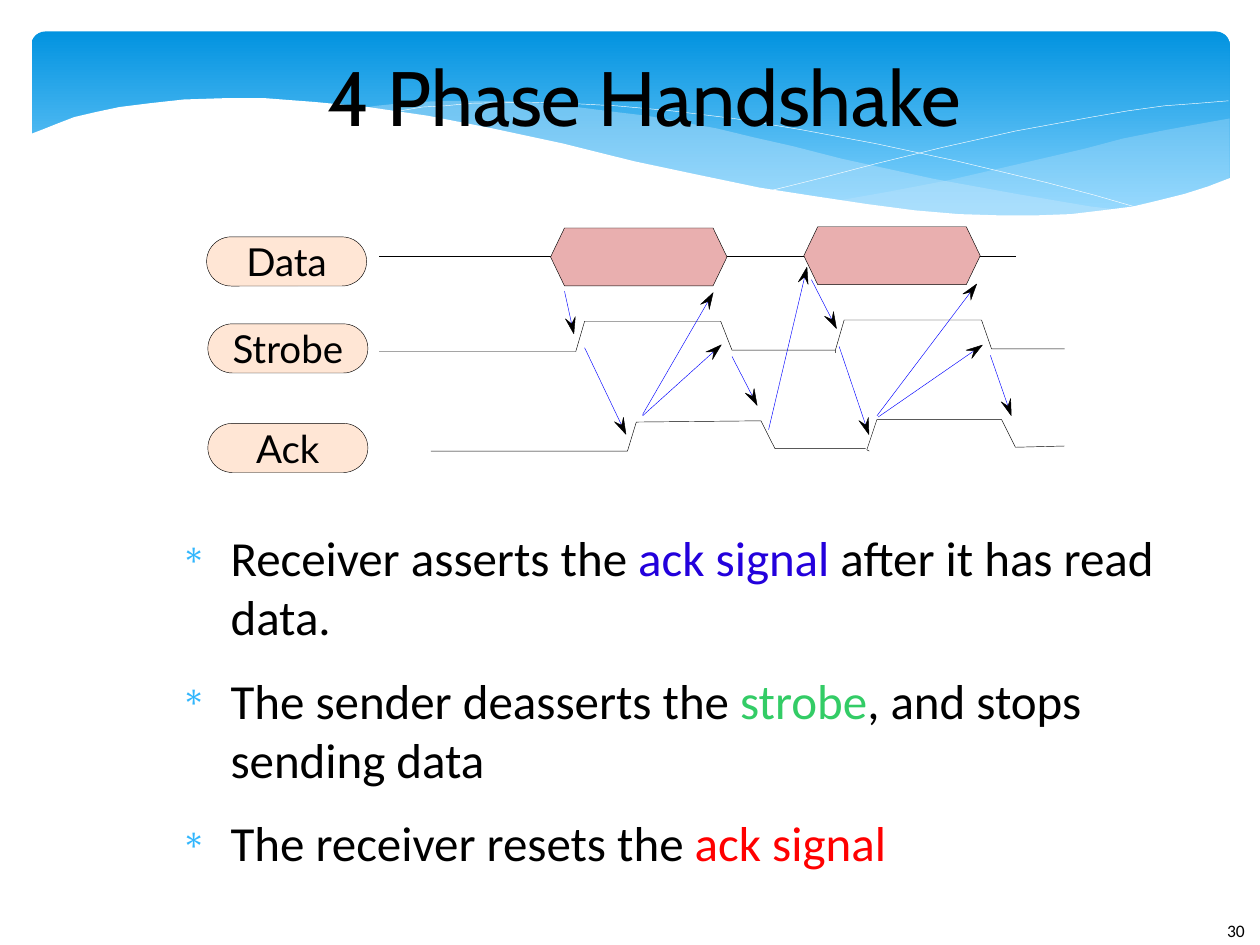
import math

from lxml import etree
from pptx import Presentation
from pptx.dml.color import RGBColor
from pptx.enum.shapes import MSO_CONNECTOR, MSO_SHAPE
from pptx.enum.text import MSO_ANCHOR, MSO_AUTO_SIZE, PP_ALIGN
from pptx.oxml.ns import qn
from pptx.util import Inches, Pt

STRAIGHT = MSO_CONNECTOR.STRAIGHT
ROUNDED, HEXAGON = MSO_SHAPE.ROUNDED_RECTANGLE, MSO_SHAPE.HEXAGON
MIDDLE, CENTER = MSO_ANCHOR.MIDDLE, PP_ALIGN.CENTER
NO_AUTOSIZE = MSO_AUTO_SIZE.NONE
HAIRLINE = Pt(0.25)

BLACK = RGBColor(0x00, 0x00, 0x00)
WHITE = RGBColor(0xFF, 0xFF, 0xFF)
BANNER_TOP = RGBColor(0x02, 0x93, 0xE0)
BANNER_BOTTOM = RGBColor(0x83, 0xD3, 0xFE)
SWOOSH = RGBColor(0xC6, 0xE7, 0xFC)
BULLET_BLUE = RGBColor(0x31, 0xB6, 0xFD)
DATA_FILL = RGBColor(0xE9, 0xAF, 0xAF)
LABEL_FILL = RGBColor(0xFF, 0xE6, 0xD5)
ARROW_BLUE = RGBColor(0x00, 0x00, 0xFF)
ACK_BLUE = RGBColor(0x23, 0x00, 0xDC)
STROBE_GREEN = RGBColor(0x33, 0xCC, 0x66)
ACK_RED = RGBColor(0xFF, 0x00, 0x00)

presentation = Presentation()
presentation.slide_width, presentation.slide_height = Inches(10), Inches(7.5)
slide = presentation.slides.add_slide(presentation.slide_layouts[5])
shapes = slide.shapes


def style(shape, fill=None, line=None):
    """Give a shape a flat fill and a hairline; None leaves either out."""
    shape.shadow.inherit = False
    if fill is None:
        shape.fill.background()
    else:
        shape.fill.solid()
        shape.fill.fore_color.rgb = fill
    if line is None:
        shape.line.fill.background()
    else:
        shape.line.color.rgb = line
        shape.line.width = HAIRLINE
    return shape


def add_outline(points, close, fill=None, line=None):
    """Draw a freeform through points given in inches."""
    corners = [(Inches(x), Inches(y)) for x, y in points]
    builder = shapes.build_freeform(*corners[0], scale=1.0)
    builder.add_line_segments(corners[1:], close=close)
    return style(builder.convert_to_shape(), fill, line)


# Banner with its swooshes
banner = shapes.add_shape(ROUNDED, Inches(0.25), Inches(0.25), Inches(9.51), Inches(1.56))
banner.adjustments[0] = 0.07
style(banner)
banner.fill.gradient()
banner.fill.gradient_angle = 270
for stop, position, color in zip(banner.fill.gradient_stops, (0, 0.9), (BANNER_TOP, BANNER_BOTTOM)):
    stop.position = position
    stop.color.rgb = color

right_swoosh = [
    (9.76, 0.94), (9.48, 0.99), (9.21, 1.04), (8.91, 1.1), (8.61, 1.18), (8.05, 1.31),
    (7.53, 1.43), (7.06, 1.52), (6.61, 1.6), (6.91, 1.64), (7.19, 1.67), (7.45, 1.69),
    (7.69, 1.71), (8.03, 1.72), (8.35, 1.72), (8.63, 1.7), (8.89, 1.66), (9.13, 1.62),
    (9.35, 1.56), (9.63, 1.47), (9.76, 1.41)]
middle_swoosh = [
    (8.93, 1.67), (8.66, 1.64), (8.07, 1.54), (7.41, 1.42), (6.68, 1.26), (6.29, 1.16),
    (5.98, 1.09), (5.69, 1.02), (5.41, 0.97), (5.14, 0.92), (4.89, 0.89), (4.42, 0.83),
    (3.99, 0.8), (3.61, 0.8), (3.28, 0.81), (2.99, 0.84), (2.86, 0.86), (3.23, 0.9),
    (3.62, 0.97), (4.04, 1.06), (4.49, 1.16), (5.3, 1.35), (5.84, 1.46), (6.18, 1.53),
    (6.5, 1.58), (6.8, 1.63), (7.09, 1.66), (7.36, 1.69), (7.61, 1.71), (7.85, 1.72),
    (8.07, 1.73), (8.28, 1.73), (8.48, 1.72), (8.67, 1.7), (8.84, 1.68)]
for points, alpha in ((right_swoosh, 29000), (middle_swoosh, 40000)):
    swoosh = add_outline(points, True, SWOOSH)
    color_element = swoosh.element.find(".//" + qn("a:srgbClr"))
    etree.SubElement(color_element, qn("a:alpha"), val=str(alpha))

long_curve = [
    (3.09, 0.9), (3.18, 0.88), (3.35, 0.85), (3.53, 0.84), (3.74, 0.82), (4.16, 0.81),
    (4.5, 0.82), (4.89, 0.84), (5.33, 0.88), (5.82, 0.94), (6.36, 1.03), (6.95, 1.14),
    (7.6, 1.28), (8.31, 1.45), (8.69, 1.55), (9.07, 1.66)]
short_curve = [
    (6.13, 1.51), (6.53, 1.41), (6.95, 1.3), (7.48, 1.17), (8.06, 1.04), (8.66, 0.93),
    (8.95, 0.88), (9.24, 0.84), (9.51, 0.82), (9.75, 0.8)]
for points in (long_curve, short_curve):
    add_outline(points, False, line=WHITE)

white_wave = [
    (9.77, 1.41), (9.59, 1.48), (9.4, 1.54), (9.2, 1.59), (8.99, 1.64), (8.75, 1.67),
    (8.5, 1.7), (8.23, 1.71), (7.93, 1.71), (7.61, 1.7), (7.26, 1.67), (6.88, 1.62),
    (6.48, 1.56), (6.03, 1.49), (5.55, 1.39), (5.03, 1.28), (4.47, 1.14), (3.91, 1.02),
    (3.4, 0.92), (2.92, 0.85), (2.5, 0.81), (2.11, 0.78), (1.77, 0.78), (1.46, 0.79),
    (1.19, 0.82), (0.95, 0.85), (0.76, 0.89), (0.59, 0.93), (0.46, 0.98), (0.36, 1.02),
    (0.23, 1.07), (0.23, 2.24), (9.77, 2.24)]
add_outline(white_wave, True, WHITE)

# Title, brought in front of the banner
title = shapes.title
title.left, title.top, title.width, title.height = Inches(1.06), Inches(0.25), Inches(8.11), Inches(1.02)
shapes.element.append(title.element)
title_frame = title.text_frame
title_frame.text = "4 Phase Handshake"
title_frame.auto_size = NO_AUTOSIZE
title_frame.vertical_anchor = MIDDLE
title_frame.margin_left = title_frame.margin_right = title_frame.margin_top = title_frame.margin_bottom = 0
title_paragraph = title_frame.paragraphs[0]
title_paragraph.alignment = CENTER
title_font = title_paragraph.runs[0].font
title_font.name, title_font.size, title_font.color.rgb = "Cabin", Pt(44), BLACK

# Bullets
bullets = [
    [("Receiver asserts the ", BLACK), ("ack signal", ACK_BLUE), (" after it has read data.", BLACK)],
    [("The sender deasserts the ", BLACK), ("strobe", STROBE_GREEN), (", and stops sending data", BLACK)],
    [("The receiver resets the ", BLACK), ("ack signal", ACK_RED)],
]
body_frame = shapes.add_textbox(Inches(1.25), Inches(4.19), Inches(8.11), Inches(2.65)).text_frame
body_frame.word_wrap = True
body_frame.margin_left = body_frame.margin_right = body_frame.margin_top = body_frame.margin_bottom = 0
for index, parts in enumerate(bullets):
    paragraph = body_frame.add_paragraph() if index else body_frame.paragraphs[0]
    paragraph.space_after = Pt(14.1)
    properties = paragraph._p.get_or_add_pPr()
    properties.set("marL", str(Inches(0.58)))
    properties.set("indent", str(Inches(-0.39)))
    bullet_color = etree.SubElement(properties, qn("a:buClr"))
    etree.SubElement(bullet_color, qn("a:srgbClr"), val=str(BULLET_BLUE))
    etree.SubElement(properties, qn("a:buSzPct"), val="70000")
    etree.SubElement(properties, qn("a:buChar"), char="∗")
    for text, color in parts:
        run = paragraph.add_run()
        run.text = text
        run.font.name, run.font.size, run.font.color.rgb = "Calibri", Pt(28), color

# Signal labels
for name, left, top in (("Data", 1.64, 1.88), ("Strobe", 1.65, 2.57), ("Ack", 1.65, 3.36)):
    label = shapes.add_shape(ROUNDED, Inches(left), Inches(top), Inches(1.27), Inches(0.39))
    label.adjustments[0] = 0.5
    style(label, LABEL_FILL, BLACK)
    frame = label.text_frame
    frame.text = name
    frame.vertical_anchor = MIDDLE
    frame.margin_left = frame.margin_right = frame.margin_top = frame.margin_bottom = 0
    frame.paragraphs[0].alignment = CENTER
    font = frame.paragraphs[0].runs[0].font
    font.name, font.size, font.color.rgb = "Lato", Pt(22), BLACK

# Signal waveforms
waveforms = [
    [(3.01, 2.79), (4.57, 2.79), (4.64, 2.55), (5.72, 2.55), (5.81, 2.78), (6.63, 2.78)],
    [(6.63, 2.8), (6.63, 2.78), (6.7, 2.54), (7.79, 2.54), (7.87, 2.77), (8.45, 2.77)],
    [(3.42, 3.58), (4.98, 3.58), (5.05, 3.35), (6.04, 3.34), (6.15, 3.56), (6.87, 3.56)],
    [(6.9, 3.58), (6.88, 3.57), (6.96, 3.33), (7.95, 3.33), (8.06, 3.55), (8.45, 3.54)],
]
for points in waveforms:
    add_outline(points, False, WHITE, BLACK)

# The data line, then the handshake arrows
data_line = ((3.01, 2.03), (8.06, 2.03))
arrows = [
    ((4.64, 2.76), (4.96, 3.43)), ((4.48, 2.31), (4.55, 2.63)), ((5.1, 3.29), (5.65, 2.34)),
    ((5.1, 3.3), (5.71, 2.75)), ((7.86, 2.82), (8.02, 3.28)), ((6.1, 3.41), (6.4, 2.14)),
    ((6.96, 3.3), (7.74, 2.27)), ((6.97, 3.31), (7.78, 2.75)), ((6.44, 2.22), (6.63, 2.59)),
    ((6.66, 2.75), (6.89, 3.43)), ((5.81, 2.83), (6, 3.2)),
]
ARROWHEAD = ((0.02, 0), (-0.11, 0.04), (-0.06, 0), (-0.11, -0.04))  # along, across
for start, end in [data_line] + arrows:
    is_arrow = (start, end) != data_line
    connector = shapes.add_connector(STRAIGHT, *(Inches(value) for value in start + end))
    connector.line.color.rgb = ARROW_BLUE if is_arrow else BLACK
    connector.line.width = HAIRLINE
    etree.SubElement(connector.element.spPr, qn("a:effectLst"))
    if is_arrow:
        angle = math.atan2(end[1] - start[1], end[0] - start[0])
        cosine, sine = math.cos(angle), math.sin(angle)
        head = [(end[0] + along * cosine - across * sine, end[1] + along * sine + across * cosine)
                for along, across in ARROWHEAD]
        add_outline(head, True, BLACK, BLACK)

# Data-valid windows over the data line
for left, top in ((4.37, 1.81), (6.38, 1.8)):
    window = shapes.add_shape(HEXAGON, Inches(left), Inches(top), Inches(1.4), Inches(0.46))
    window.adjustments[0] = 0.24
    style(window, DATA_FILL, BLACK)

# Slide number
number_frame = shapes.add_textbox(Inches(9.64), Inches(7.25), Inches(0.61), Inches(0.4)).text_frame
number_frame.text = "30"
number_font = number_frame.paragraphs[0].runs[0].font
number_font.name, number_font.size, number_font.color.rgb = "Calibri", Pt(10), BLACK

presentation.save("out.pptx")
